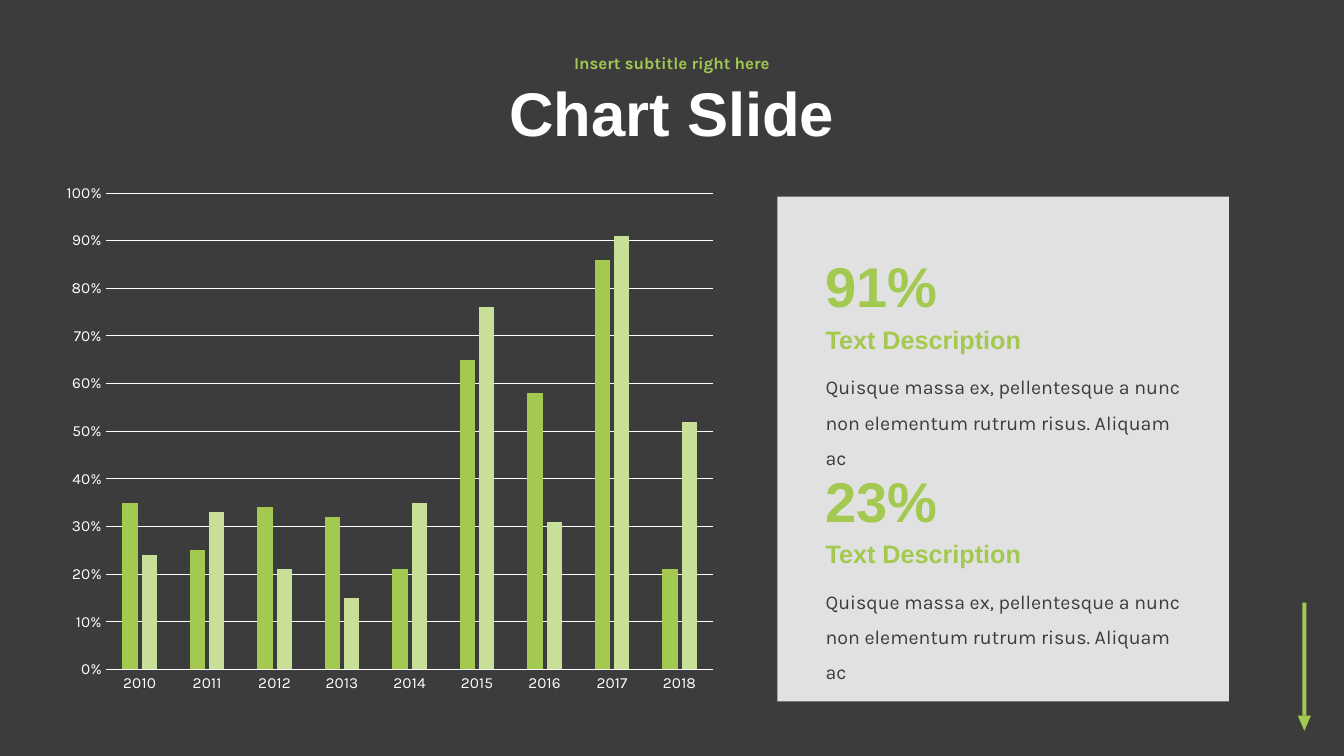
import pptx
import pptx.chart.data
import pptx.dml.color
import pptx.enum.chart
import pptx.enum.shapes
import pptx.enum.text
import pptx.oxml
import pptx.oxml.ns
import pptx.util

COLUMNS, ROWS = 160, 90
GREEN, PALE_GREEN = "A3C951", "C8DF97"
WHITE, CHARCOAL = "FFFFFF", "3C3C3C"
HEADING_FONT, BODY_FONT = "Arial", "Karla"
ALIGN = pptx.enum.text.PP_ALIGN
AUTO_SIZE = pptx.enum.text.MSO_AUTO_SIZE
SHAPES = pptx.enum.shapes.MSO_SHAPE


def color(value):
    return pptx.dml.color.RGBColor.from_string(value)


class SlideBuilder:
    def __init__(self):
        self.presentation = pptx.Presentation()
        self.presentation.slide_width = pptx.util.Inches(13.33)
        self.presentation.slide_height = pptx.util.Inches(7.5)
        self.slide = self.presentation.slides.add_slide(self.presentation.slide_layouts[0])
        background = self.slide.background.fill
        background.solid()
        background.fore_color.rgb = color(CHARCOAL)

    def place(self, left, top, width, height):
        column = self.presentation.slide_width / COLUMNS
        row = self.presentation.slide_height / ROWS
        return [int(left * column), int(top * row), int(width * column), int(height * row)]

    def style_font(self, font, name, size, fill, bold=False):
        font.name = name
        font.size = pptx.util.Pt(size)
        font.color.rgb = color(fill)
        font.bold = bold

    def set_text(self, shape, text, name, size, fill, bold=False, spacing=1.0, align=ALIGN.LEFT):
        shape.text_frame.text = text
        shape.text_frame.word_wrap = True
        for paragraph in shape.text_frame.paragraphs:
            paragraph.alignment = align
            paragraph.line_spacing = spacing
            paragraph.space_before = pptx.util.Pt(0)
            for run in paragraph.runs:
                self.style_font(run.font, name, size, fill, bold)

    def placeholder(self, index, box, text, name, size, fill):
        shape = self.slide.placeholders[index]
        shape.left, shape.top, shape.width, shape.height = self.place(*box)
        self.set_text(shape, text, name, size, fill, True, 0.9, ALIGN.CENTER)
        shape.text_frame.auto_size = AUTO_SIZE.NONE
        shape.text_frame.vertical_anchor = pptx.enum.text.MSO_ANCHOR.MIDDLE

    def text(self, box, text, name, size, fill, bold=False, spacing=1.0):
        shape = self.slide.shapes.add_textbox(*self.place(*box))
        self.set_text(shape, text, name, size, fill, bold, spacing)
        shape.text_frame.auto_size = AUTO_SIZE.SHAPE_TO_FIT_TEXT

    def shape(self, kind, box, fill, opacity=100, rotation=0):
        shape = self.slide.shapes.add_shape(kind, *self.place(*box))
        shape.shadow.inherit = False
        shape.rotation = rotation
        shape.line.fill.background()
        shape.fill.solid()
        shape.fill.fore_color.rgb = color(fill)
        if opacity < 100:
            swatch = shape.element.spPr.find(".//" + pptx.oxml.ns.qn("a:srgbClr"))
            swatch.append(pptx.oxml.parse_xml(
                f'<a:alpha {pptx.oxml.ns.nsdecls("a")} val="{opacity * 1000}"/>'))

    def column_chart(self, box, categories, series, plot_area):
        data = pptx.chart.data.CategoryChartData(number_format="0%")
        data.categories = categories
        for name, values, fill in series:
            data.add_series(name, [value / 100 for value in values])
        chart = self.slide.shapes.add_chart(
            pptx.enum.chart.XL_CHART_TYPE.COLUMN_CLUSTERED, *self.place(*box), data).chart
        chart.has_legend = False
        chart.has_title = False
        self.style_font(chart.font, BODY_FONT, 11, WHITE)

        plot = chart.plots[0]
        plot.vary_by_categories = False
        plot.gap_width = 219
        plot.overlap = -27
        for bars, (name, values, fill) in zip(plot.series, series):
            bars.format.fill.solid()
            bars.format.fill.fore_color.rgb = color(fill)

        for axis in (chart.category_axis, chart.value_axis):
            axis.major_tick_mark = pptx.enum.chart.XL_TICK_MARK.NONE
            axis.minor_tick_mark = pptx.enum.chart.XL_TICK_MARK.NONE
            self.style_font(axis.tick_labels.font, BODY_FONT, 11, WHITE)
        value_axis = chart.value_axis
        value_axis.minimum_scale, value_axis.maximum_scale = 0, 1
        value_axis.major_unit = 0.1
        value_axis.tick_labels.number_format = "0%"
        value_axis.tick_labels.number_format_is_linked = False
        value_axis.format.line.fill.background()
        for line in (chart.category_axis.format.line, value_axis.major_gridlines.format.line):
            line.color.rgb = color(WHITE)
            line.width = pptx.util.Pt(0.75)
        self.fix_plot_area(chart, plot_area)

    def fix_plot_area(self, chart, shares):
        modes = '<c:xMode val="edge"/><c:yMode val="edge"/>'
        sizes = "".join(f'<c:{key} val="{share}"/>' for key, share in zip("xywh", shares))
        area = chart.element.find(".//" + pptx.oxml.ns.qn("c:plotArea"))
        for layout in area.findall(pptx.oxml.ns.qn("c:layout")):
            area.remove(layout)
        area.insert(0, pptx.oxml.parse_xml(
            f'<c:layout {pptx.oxml.ns.nsdecls("c")}><c:manualLayout>'
            f'<c:layoutTarget val="inner"/>{modes}{sizes}</c:manualLayout></c:layout>'))

    def statistic(self, left, top, number, heading, description):
        self.text((left, top, 25.8, 9.24), number, HEADING_FONT, 40, GREEN, True)
        self.text((left, top + 13.3, 44.65, 9.24), description, BODY_FONT, 14, CHARCOAL,
                  spacing=1.5)
        self.text((left, top + 8.6, 35, 4.8), heading, HEADING_FONT, 18, GREEN, True)


def main():
    builder = SlideBuilder()
    builder.shape(SHAPES.RECTANGLE, (155.05, 71.75, 0.48, 13.45), GREEN)
    builder.shape(SHAPES.ISOSCELES_TRIANGLE, (154.5, 85.2, 1.56, 1.8), GREEN, rotation=180)
    builder.shape(SHAPES.RECTANGLE, (92.55, 23.4, 53.75, 60.1), WHITE, opacity=85)
    builder.placeholder(0, (35, 7.7, 90, 12.35), "Chart Slide", HEADING_FONT, 44, WHITE)
    builder.placeholder(1, (35, 5.4, 90, 4.56), "Insert subtitle right here",
                        BODY_FONT, 12, GREEN)
    builder.column_chart(
        (5.3, 21.7, 81.25, 64.45),
        [str(year) for year in range(2010, 2019)],
        [("Series 1", (35, 25, 34, 32, 21, 65, 58, 86, 21), GREEN),
         ("Series 2", (24, 33, 21, 15, 35, 76, 31, 91, 52), PALE_GREEN)],
        (0.09, 0.02, 0.89, 0.88))
    for index, number in enumerate(("91%", "23%")):
        builder.statistic(
            97.1, 29.4 + index * 25.5, number, "Text Description",
            "Quisque massa ex, pellentesque a nunc non elementum rutrum risus. Aliquam ac")
    builder.presentation.save("out.pptx")


if __name__ == "__main__":
    main()
